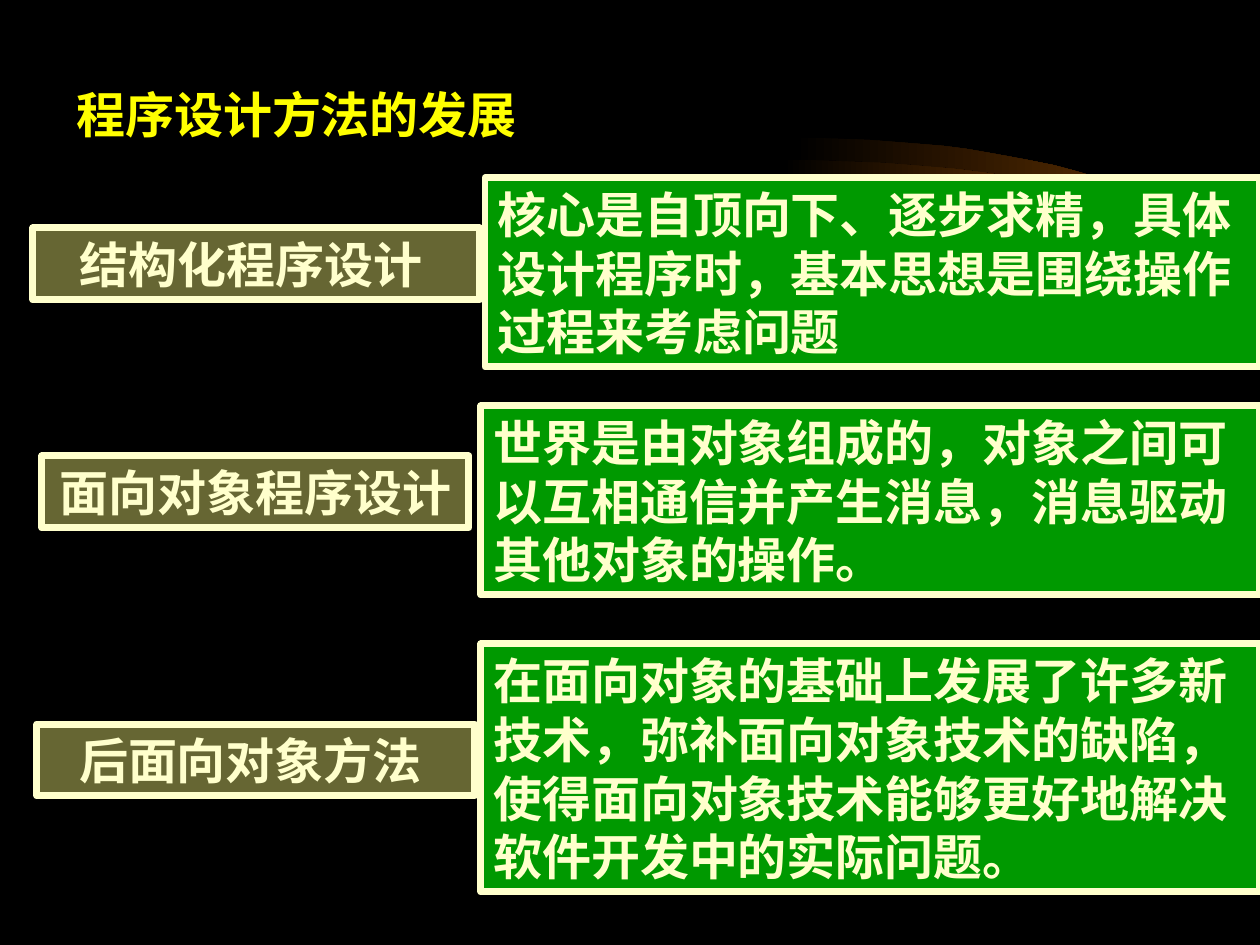
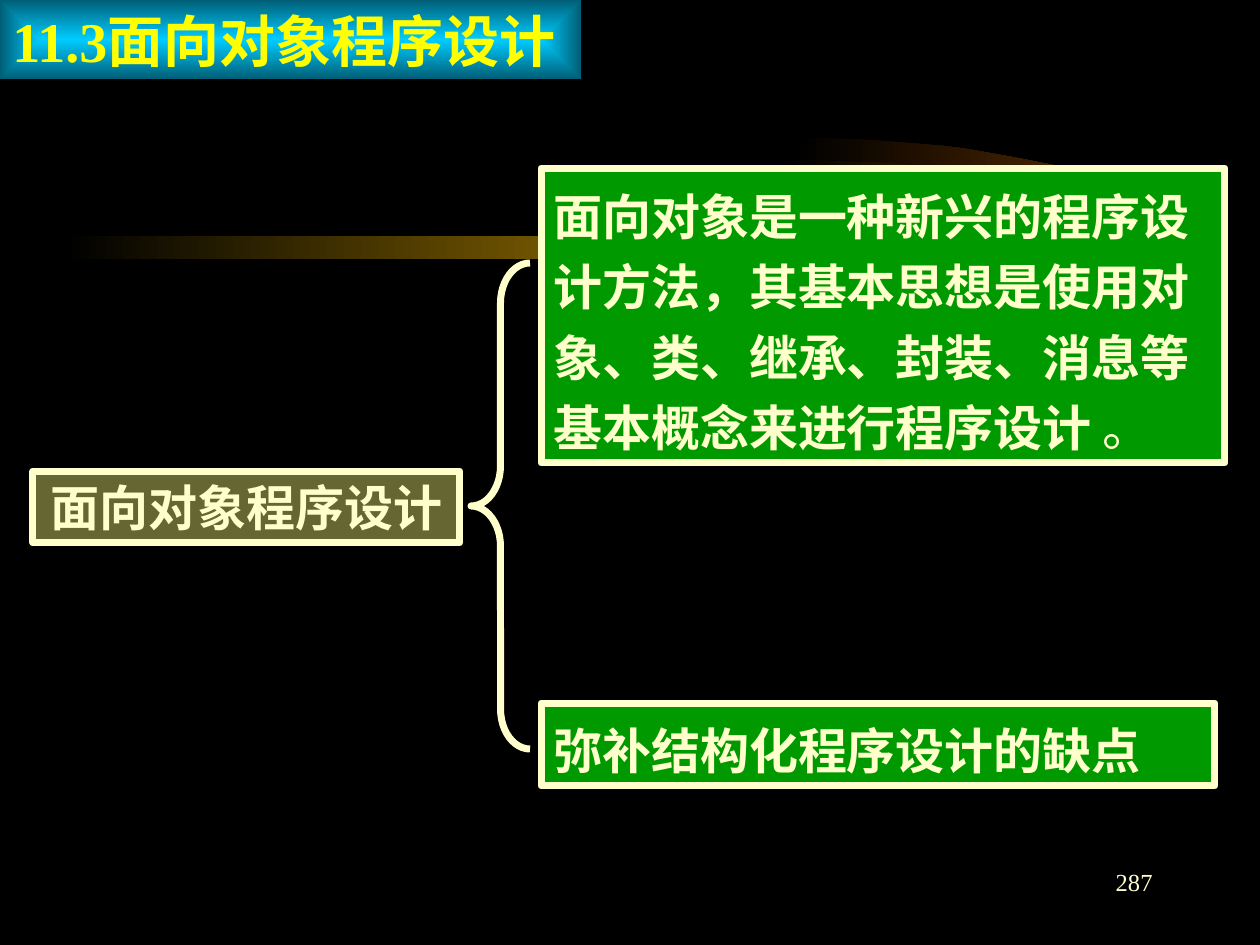
from math import cos, pi, sin

from lxml import etree
from pptx import Presentation
from pptx.dml.color import RGBColor
from pptx.enum.shapes import MSO_SHAPE
from pptx.enum.text import MSO_ANCHOR, PP_ALIGN
from pptx.oxml.ns import qn
from pptx.util import Emu, Pt

HUES = {
    "black": "000000", "cream": "FFFFCC", "yellow": "FFFF00",
    "green": "009900", "olive": "666633", "brown": "663300",
    "rust": "894400", "gold": "FFBF00", "sky": "00CCFF", "teal": "005E76",
}
RGB = {name: RGBColor.from_string(code) for name, code in HUES.items()}
PX = 914400 / 126

# Formats: fill, text colour, font, paragraph and frame values
BOLD = {"name": "Times New Roman", "size": Pt(28), "bold": True}
MID = {"word_wrap": True, "vertical_anchor": MSO_ANCHOR.MIDDLE}
TOP = {"word_wrap": True, "vertical_anchor": MSO_ANCHOR.TOP}
LEFT = {"alignment": PP_ALIGN.LEFT}
LABEL = ("olive", "cream", BOLD, {"alignment": PP_ALIGN.CENTER}, MID)
NOTE = ("green", "cream", BOLD, LEFT, MID)
LOOSE = ("green", "cream", BOLD, LEFT | {"line_spacing": 1.2}, MID)
TITLE = (None, "yellow", BOLD, LEFT | {"line_spacing": 1.4}, TOP)
PAGE = (None, "cream", BOLD | {"size": Pt(14), "bold": False},
        {"alignment": PP_ALIGN.RIGHT}, TOP)
BANNER = (("sky", "teal"), "yellow", BOLD | {"size": Pt(32)}, LEFT,
          TOP | {"word_wrap": False})


def blend(shape, start, end):
    """Fill a shape with a left-to-right gradient and no line."""
    shape.shadow.inherit = False
    shape.line.fill.background()
    shape.fill.gradient()
    shape.fill.gradient_angle = 0
    for stop, hue in zip(shape.fill.gradient_stops, (start, end)):
        stop.color.rgb = RGB[hue]


def write(slide, frame, look, *parts):
    """Add a text box or filled box; parts after the first are not bold."""
    fill, ink, font, para, body = look
    spot = [Emu(round(n * PX)) for n in frame]
    if fill is None:
        shape = slide.shapes.add_textbox(*spot)
    else:
        shape = slide.shapes.add_shape(MSO_SHAPE.RECTANGLE, *spot)
        shape.shadow.inherit = False
    if isinstance(fill, tuple):
        blend(shape, *fill)
    elif fill:
        shape.fill.solid()
        shape.fill.fore_color.rgb = RGB[fill]
        shape.line.color.rgb = RGB["cream"]
        shape.line.width = Pt(4)
    text = shape.text_frame
    line = text.paragraphs[0]
    for item, style in ((text, body), (line, para)):
        for key, value in style.items():
            setattr(item, key, value)
    for i, part in enumerate(parts):
        run = line.add_run()
        run.text = part
        for key, value in font.items():
            setattr(run.font, key, value)
        run.font.color.rgb = RGB[ink]
        if i:
            run.font.bold = False
    return shape


deck = Presentation()
deck.slide_width = Emu(round(1260 * PX))
deck.slide_height = Emu(round(945 * PX))
first, second = [deck.slides.add_slide(deck.slide_layouts[6]) for _ in range(2)]

# Shared backdrop: two half ellipses and a bar fading in from black
STEPS = 48
for slide in (first, second):
    slide.background.fill.solid()
    slide.background.fill.fore_color.rgb = RGB["black"]
    for left, mid, wide, half, hue in ((793, 248, 394, 110, "brown"),
                                       (782, 248, 394, 88, "rust")):
        turns = [pi * i / STEPS - pi / 2 for i in range(STEPS + 1)]
        rim = [(left + wide * cos(t), mid + half * sin(t)) for t in turns]
        path = slide.shapes.build_freeform(*rim[0], scale=PX)
        path.add_line_segments(rim[1:], close=True)
        blend(path.convert_to_shape(), "black", hue)
    bar = slide.shapes.add_shape(
        MSO_SHAPE.ROUNDED_RECTANGLE, *[Emu(round(n * PX)) for n in (63, 236, 1091, 23)])
    bar.adjustments[0] = 0.5
    blend(bar, "black", "gold")

# Slide 1: three methods, each with its core idea
write(first, (64, 55, 507, 96), TITLE, "程序设计方法的发展")
METHODS = [
    ((33, 228, 447, 72), "结构化程序设计 ", (485, 178, 775, 189),
     "核心是自顶向下、逐步求精，具体设计程序时，基本思想是围绕操作过程来考虑问题"),
    ((42, 456, 427, 72), "面向对象程序设计 ", (481, 406, 779, 189),
     "世界是由对象组成的，对象之间可以互相通信并产生消息，消息驱动其他对象的操作。"),
    ((37, 724, 438, 72), "后面向对象方法 ", (481, 644, 779, 248),
     "在面向对象的基础上发展了许多新技术，弥补面向对象技术的缺陷，"
     "使得面向对象技术能够更好地解决软件开发中的实际问题。"),
]
for spot, name, place, idea in METHODS:
    write(first, spot, LABEL, name)
    write(first, place, NOTE, idea)

# Slide 2: one method, braced into two points
write(second, (903, 861, 262, 63), PAGE, "287")
write(second, (33, 471, 427, 72), LABEL, "面向对象程序设计 ")
write(second, (541, 168, 684, 295), LOOSE,
      "面向对象是一种新兴的程序设计方法，其基本思想是使用对象、类、继承、封装、"
      "消息等基本概念来进行程序设计", " 。")
write(second, (541, 703, 674, 83), LOOSE, "弥补结构化程序设计的缺点")

brace = second.shapes.add_shape(
    MSO_SHAPE.LEFT_BRACE, *[Emu(round(n * PX)) for n in (471, 263, 59, 486)])
brace.adjustments[0] = 0.68
brace.shadow.inherit = False
brace.fill.background()
brace.line.color.rgb = RGB["cream"]
brace.line.width = Pt(4)

banner = write(second, (0, 0, 581, 79), BANNER, "11.3面向对象程序设计")
flow = banner._element.spPr.find(".//" + qn("a:lin"))
ring = etree.SubElement(flow.getparent(), qn("a:path"), {"path": "rect"})
etree.SubElement(ring, qn("a:fillToRect"), {side: "50000" for side in "ltrb"})
flow.getparent().remove(flow)

deck.save("out.pptx")
